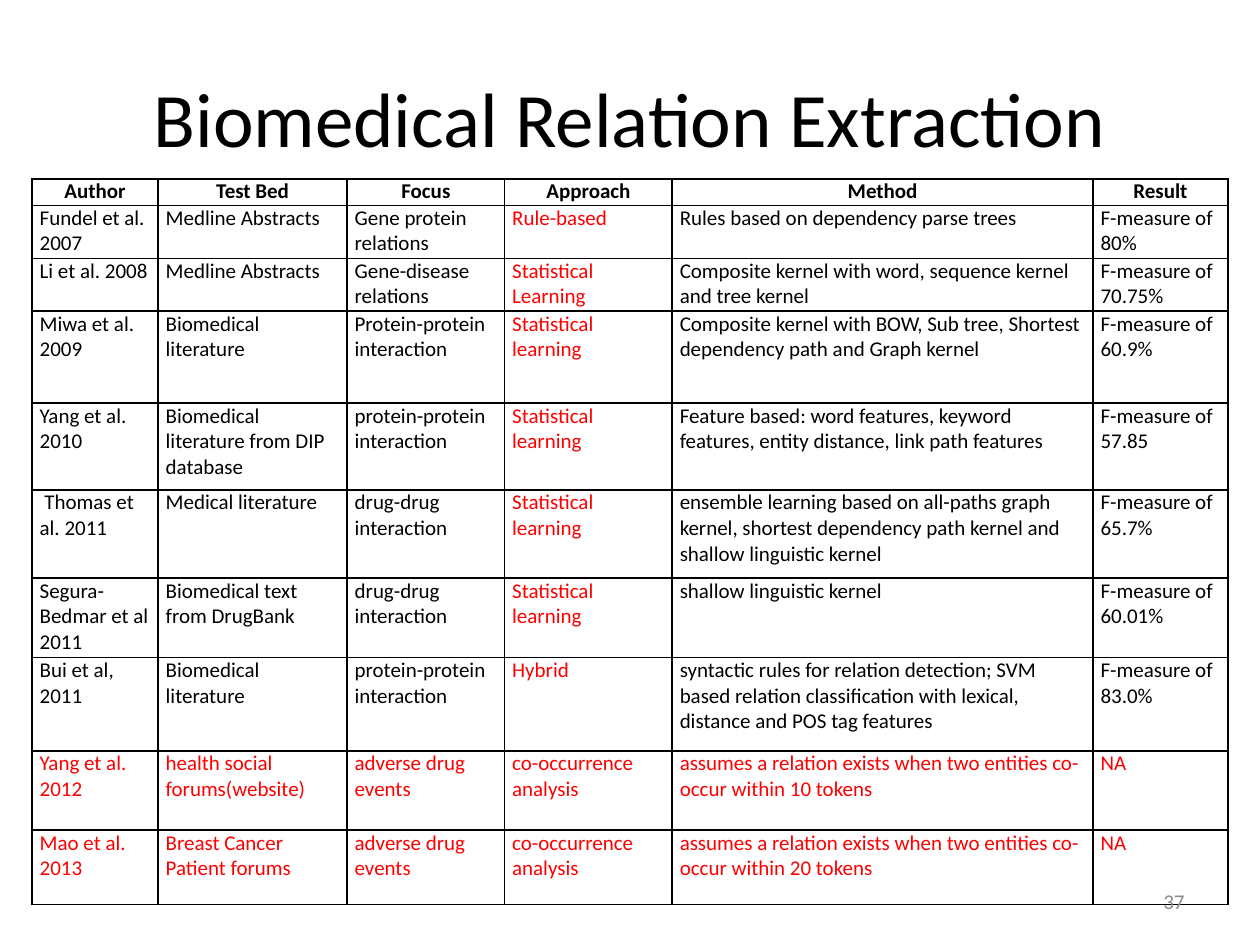
from dataclasses import dataclass

from lxml.etree import SubElement
from pptx import Presentation
from pptx.dml.color import RGBColor
from pptx.enum.text import MSO_ANCHOR, PP_ALIGN
from pptx.oxml.ns import qn
from pptx.util import Inches, Pt


@dataclass(frozen=True)
class Theme:
    font: str = "Calibri"
    ink: str = "000000"
    accent: str = "FF0000"
    muted: str = "8C8C8C"
    title_size: int = 44
    body_size: int = 12
    border_width: int = 1


THEME = Theme()
SLIDE_WIDTH, SLIDE_HEIGHT = 10, 7.5
MARGIN = 0.05 * SLIDE_WIDTH

COLUMN_WIDTHS = [1, 1.5, 1.25, 1.33, 3.34, 1.07]
ROW_HEIGHTS = [0.21, 0.42, 0.42, 0.73, 0.69, 0.7, 0.63, 0.74, 0.63, 0.59]
APPROACH_COLUMN = 3
FIRST_FORUM_ROW = 8

STUDIES = [
    ["Author", "Test Bed", "Focus", "Approach", "Method", "Result"],
    ["Fundel et al. 2007", "Medline Abstracts", "Gene protein relations", "Rule-based",
     "Rules based on dependency parse trees", "F-measure of 80%"],
    ["Li et al. 2008", "Medline Abstracts", "Gene-disease relations", "Statistical Learning",
     "Composite kernel with word, sequence kernel and tree kernel", "F-measure of 70.75%"],
    ["Miwa et al. 2009", "Biomedical literature", "Protein-protein interaction",
     "Statistical learning",
     "Composite kernel with BOW, Sub tree, Shortest dependency path and Graph kernel",
     "F-measure of 60.9%"],
    ["Yang et al. 2010", "Biomedical literature from DIP database",
     "protein-protein interaction", "Statistical learning",
     "Feature based: word features, keyword features, entity distance, link path features",
     "F-measure of 57.85"],
    [" Thomas et al. 2011", "Medical literature", "drug-drug interaction",
     "Statistical learning",
     "ensemble learning based on all-paths graph kernel, shortest dependency path kernel "
     "and shallow linguistic kernel", "F-measure of 65.7%"],
    ["Segura-Bedmar et al 2011", "Biomedical text from DrugBank", "drug-drug interaction",
     "Statistical learning", "shallow linguistic kernel", "F-measure of 60.01%"],
    ["Bui et al, 2011", "Biomedical literature", "protein-protein interaction", "Hybrid",
     "syntactic rules for relation detection; SVM based relation classification with "
     "lexical, distance and POS tag features", "F-measure of 83.0%"],
    ["Yang et al. 2012", "health social forums(website)", "adverse drug events",
     "co-occurrence analysis",
     "assumes a relation exists when two entities co-occur within 10 tokens", "NA"],
    ["Mao et al. 2013", "Breast Cancer Patient forums", "adverse drug events",
     "co-occurrence analysis",
     "assumes a relation exists when two entities co-occur within 20 tokens", "NA"],
]


def write(frame, text, size=THEME.body_size, color=THEME.ink, bold=False,
          align=PP_ALIGN.LEFT, anchor=MSO_ANCHOR.TOP):
    frame.word_wrap = True
    frame.vertical_anchor = anchor
    paragraph = frame.paragraphs[0]
    paragraph.alignment = align
    run = paragraph.add_run()
    run.text = text
    run.font.name = THEME.font
    run.font.size = Pt(size)
    run.font.bold = bold
    run.font.color.rgb = RGBColor.from_string(color)


def add_title(slide, text):
    title = slide.shapes.title
    title.left, title.top = Inches(MARGIN), Inches(0.04 * SLIDE_HEIGHT)
    title.width, title.height = Inches(SLIDE_WIDTH - 2 * MARGIN), Inches(SLIDE_HEIGHT / 6)
    write(title.text_frame, text, size=THEME.title_size, align=PP_ALIGN.CENTER,
          anchor=MSO_ANCHOR.MIDDLE)


def outline_cell(cell):
    """Draw all four borders; they must precede the fill in the cell properties."""
    properties = cell._tc.get_or_add_tcPr()
    for side in ("lnL", "lnR", "lnT", "lnB"):
        line = SubElement(properties, qn(f"a:{side}"), w=str(Pt(THEME.border_width)))
        fill = SubElement(line, qn("a:solidFill"))
        SubElement(fill, qn("a:srgbClr"), val=THEME.ink)


def format_cell(cell, text, **text_format):
    cell.margin_left = cell.margin_right = Inches(0.06)
    cell.margin_top = cell.margin_bottom = 0
    outline_cell(cell)
    cell.fill.background()
    write(cell.text_frame, text, **text_format)


def add_study_table(slide):
    left = (SLIDE_WIDTH - sum(COLUMN_WIDTHS)) / 2
    table = slide.shapes.add_table(
        len(ROW_HEIGHTS), len(COLUMN_WIDTHS), Inches(left), Inches(1.42),
        Inches(sum(COLUMN_WIDTHS)), Inches(sum(ROW_HEIGHTS))).table
    table.first_row = table.horz_banding = False
    for column, width in zip(table.columns, COLUMN_WIDTHS):
        column.width = Inches(width)
    for row, height in zip(table.rows, ROW_HEIGHTS):
        row.height = Inches(height)
    for r, study in enumerate(STUDIES):
        is_header = r == 0
        for c, text in enumerate(study):
            highlighted = not is_header and (c == APPROACH_COLUMN or r >= FIRST_FORUM_ROW)
            format_cell(table.cell(r, c), text, bold=is_header,
                        color=THEME.accent if highlighted else THEME.ink,
                        align=PP_ALIGN.CENTER if is_header else PP_ALIGN.LEFT)


def add_page_number(slide, number):
    width = SLIDE_WIDTH * 0.233
    box = slide.shapes.add_textbox(Inches(SLIDE_WIDTH - MARGIN - width), Inches(6.95),
                                   Inches(width), Inches(0.4))
    write(box.text_frame, str(number), color=THEME.muted, align=PP_ALIGN.RIGHT,
          anchor=MSO_ANCHOR.MIDDLE)


def main():
    presentation = Presentation()
    presentation.slide_width = Inches(SLIDE_WIDTH)
    presentation.slide_height = Inches(SLIDE_HEIGHT)
    slide = presentation.slides.add_slide(presentation.slide_layouts[5])
    add_title(slide, "Biomedical Relation Extraction")
    add_study_table(slide)
    add_page_number(slide, 37)
    presentation.save("out.pptx")


if __name__ == "__main__":
    main()
